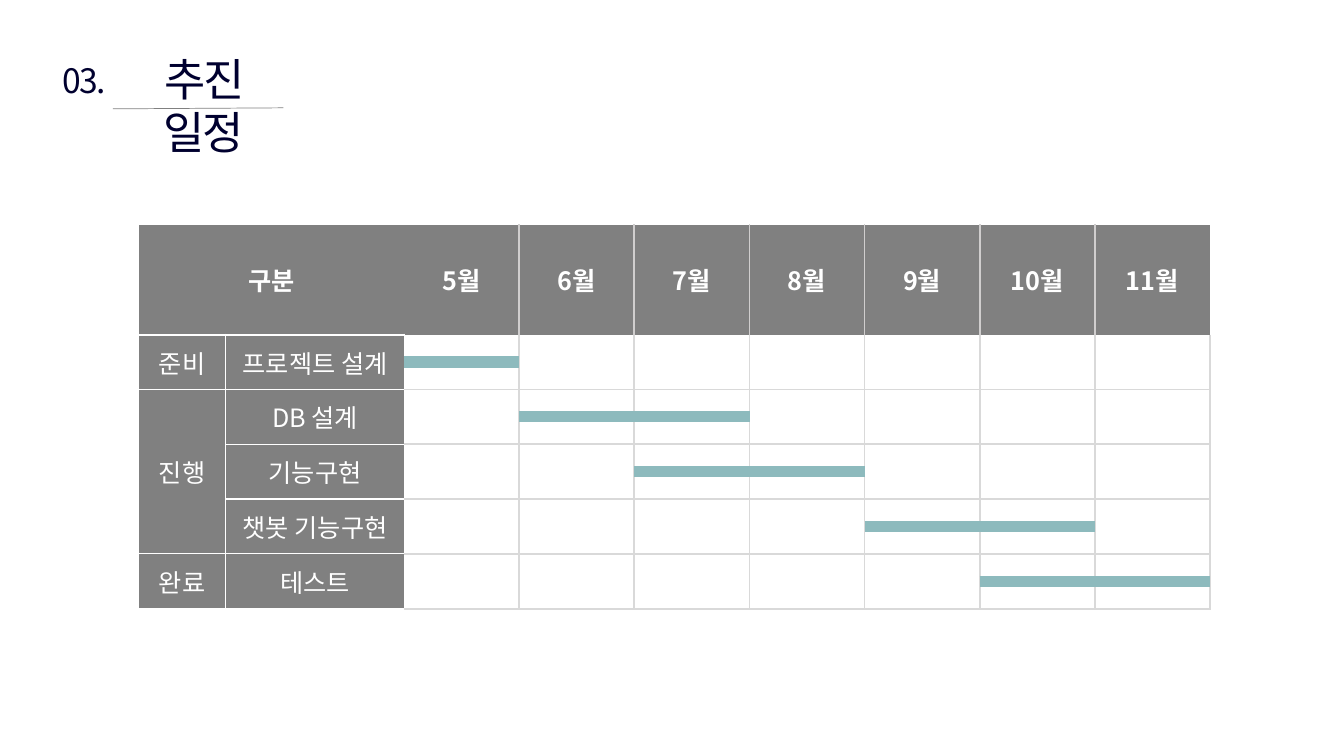
import pptx
import pptx.dml.color
import pptx.enum.shapes
import pptx.enum.text
import pptx.oxml
import pptx.oxml.ns
import pptx.util
from lxml import etree

Inches, Pt = pptx.util.Inches, pptx.util.Pt
RGBColor = pptx.dml.color.RGBColor
ALIGN = pptx.enum.text.PP_ALIGN
ANCHOR = pptx.enum.text.MSO_ANCHOR
qn = pptx.oxml.ns.qn

FONT = "Noto Sans CJK KR"
NAVY = RGBColor(0x00, 0x00, 0x2F)
GRAY = RGBColor(0x80, 0x80, 0x80)
GRID = RGBColor(0xD9, 0xD9, 0xD9)
HEADER_GRID = RGBColor(0xD0, 0xCE, 0xCE)
TEAL = RGBColor(0x8D, 0xBA, 0xBD)
WHITE = RGBColor(0xFF, 0xFF, 0xFF)

# Schedule: stage, task, first month, number of months
MONTHS = range(5, 12)
TASKS = [
    ("준비", "프로젝트 설계", 5, 1),
    ("진행", "DB 설계", 6, 2),
    ("", "기능구현", 7, 2),
    ("", "챗봇 기능구현", 9, 2),
    ("완료", "테스트", 10, 2),
]

# Table geometry in inches
LEFT, TOP, WIDTH, HEIGHT = 1.37, 2.23, 10.63, 3.81
LABEL_WIDTHS = [0.87, 1.77]
HEADER_HEIGHT = 1.09
MONTHS_LEFT = LEFT + sum(LABEL_WIDTHS)
MONTH_WIDTH = (WIDTH - sum(LABEL_WIDTHS)) / len(MONTHS)
ROW_HEIGHT = (HEIGHT - HEADER_HEIGHT) / len(TASKS)


def write_text(text_frame, text, size=18, color=WHITE, bold=False, spacing=None):
    paragraph = text_frame.paragraphs[0]
    paragraph.alignment = ALIGN.CENTER
    run = paragraph.add_run()
    run.text = text
    run.font.size = Pt(size)
    run.font.bold = bold
    run.font.color.rgb = color
    run.font.name = FONT
    properties = run.font._element
    etree.SubElement(properties, qn("a:ea")).set("typeface", FONT)
    if spacing is not None:
        properties.set("spc", str(round(spacing * 100)))


def cell_borders(row, column):
    """Return the left, right, top and bottom border as (color, width) or None."""
    white, grid, header = (WHITE, 1), (GRID, 1.5), (HEADER_GRID, 1.5)
    last = len(LABEL_WIDTHS) + len(MONTHS) - 1
    if row == 0 and column < 2:
        return (white if column == 0 else None), None, white, (WHITE, 1.5)
    if row == 0:
        return (header if column > 2 else None), (header if column < last else None), white, None
    if column < 2:
        return white, white, ((WHITE, 1.5) if row == 1 else white), white
    return (white if column == 2 else grid), grid, (grid if row > 1 else None), grid


class ScheduleSlide:
    def __init__(self, presentation):
        self.slide = presentation.slides.add_slide(presentation.slide_layouts[5])

    def title(self, text, left, top, width, height, **style):
        self.place_text(self.slide.shapes.title, text, left, top, width, height, True, style)

    def text_box(self, text, left, top, width, height, **style):
        box = self.slide.shapes.add_textbox(0, 0, 0, 0)
        self.place_text(box, text, left, top, width, height, False, style)

    def place_text(self, shape, text, left, top, width, height, wrap, style):
        shape.left, shape.top = Inches(left), Inches(top)
        shape.width, shape.height = Inches(width), Inches(height)
        frame = shape.text_frame
        frame.word_wrap = wrap
        frame.auto_size = pptx.enum.text.MSO_AUTO_SIZE.NONE
        frame.vertical_anchor = ANCHOR.TOP
        write_text(frame, text, **style)

    def line(self, start, end, color, width):
        connector = self.slide.shapes.add_connector(
            pptx.enum.shapes.MSO_CONNECTOR.STRAIGHT, *map(Inches, start + end))
        connector.line.color.rgb = color
        connector.line.width = Pt(width)
        etree.SubElement(connector._element.spPr, qn("a:effectLst"))

    def table(self, rows, left, top, widths, heights):
        frame = self.slide.shapes.add_table(
            len(rows), len(widths), Inches(left), Inches(top),
            Inches(sum(widths)), Inches(sum(heights)))
        table = frame.table
        table.first_row = table.horz_banding = False
        for column, width in zip(table.columns, widths):
            column.width = Inches(width)
        for row, height in zip(table.rows, heights):
            row.height = Inches(height)
        for row, texts in enumerate(rows):
            for column, text in enumerate(texts):
                self.format_cell(table.cell(row, column), text, row, column)
        return table

    def format_cell(self, cell, text, row, column):
        cell.vertical_anchor = ANCHOR.MIDDLE
        cell.fill.solid()
        cell.fill.fore_color.rgb = GRAY if row == 0 or column < 2 else WHITE
        if text:
            write_text(cell.text_frame, text, bold=row == 0)
        properties = cell._tc.get_or_add_tcPr()
        for index, (side, border) in enumerate(zip("LRTB", cell_borders(row, column))):
            edge = pptx.oxml.parse_xml(
                f'<a:ln{side} {pptx.oxml.ns.nsdecls("a")}/>')
            if border:
                color, width = border
                edge.set("w", str(Pt(width)))
                fill = etree.SubElement(edge, qn("a:solidFill"))
                etree.SubElement(fill, qn("a:srgbClr")).set("val", str(color))
            else:
                etree.SubElement(edge, qn("a:noFill"))
            properties.insert(index, edge)


presentation = pptx.Presentation()
presentation.slide_width = Inches(13.33)
presentation.slide_height = Inches(7.5)
schedule = ScheduleSlide(presentation)

# Heading
schedule.line((1.12, 1.08), (2.81, 1.07), GRAY, 0.5)
schedule.title("추진 일정", 1.1, 0.46, 1.84, 0.64, size=32, color=NAVY, spacing=-1.5)
schedule.text_box("03.", 0.5, 0.55, 0.67, 0.5, size=24, color=NAVY, spacing=-1.5)

# Schedule table
header = ["구분", ""] + [f"{month}월" for month in MONTHS]
body = [[stage, task] + [""] * len(MONTHS) for stage, task, _, _ in TASKS]
table = schedule.table(
    [header] + body, LEFT, TOP,
    LABEL_WIDTHS + [MONTH_WIDTH] * len(MONTHS),
    [HEADER_HEIGHT] + [ROW_HEIGHT] * len(TASKS))
table.cell(0, 0).merge(table.cell(0, 1))
table.cell(2, 0).merge(table.cell(4, 0))

# Task bars, centred in their rows
for index, (_, _, first_month, duration) in enumerate(TASKS):
    start = MONTHS_LEFT + (first_month - MONTHS[0]) * MONTH_WIDTH
    middle = TOP + HEADER_HEIGHT + (index + 0.5) * ROW_HEIGHT
    schedule.line((start, middle), (start + duration * MONTH_WIDTH, middle), TEAL, 8)

presentation.save("out.pptx")
